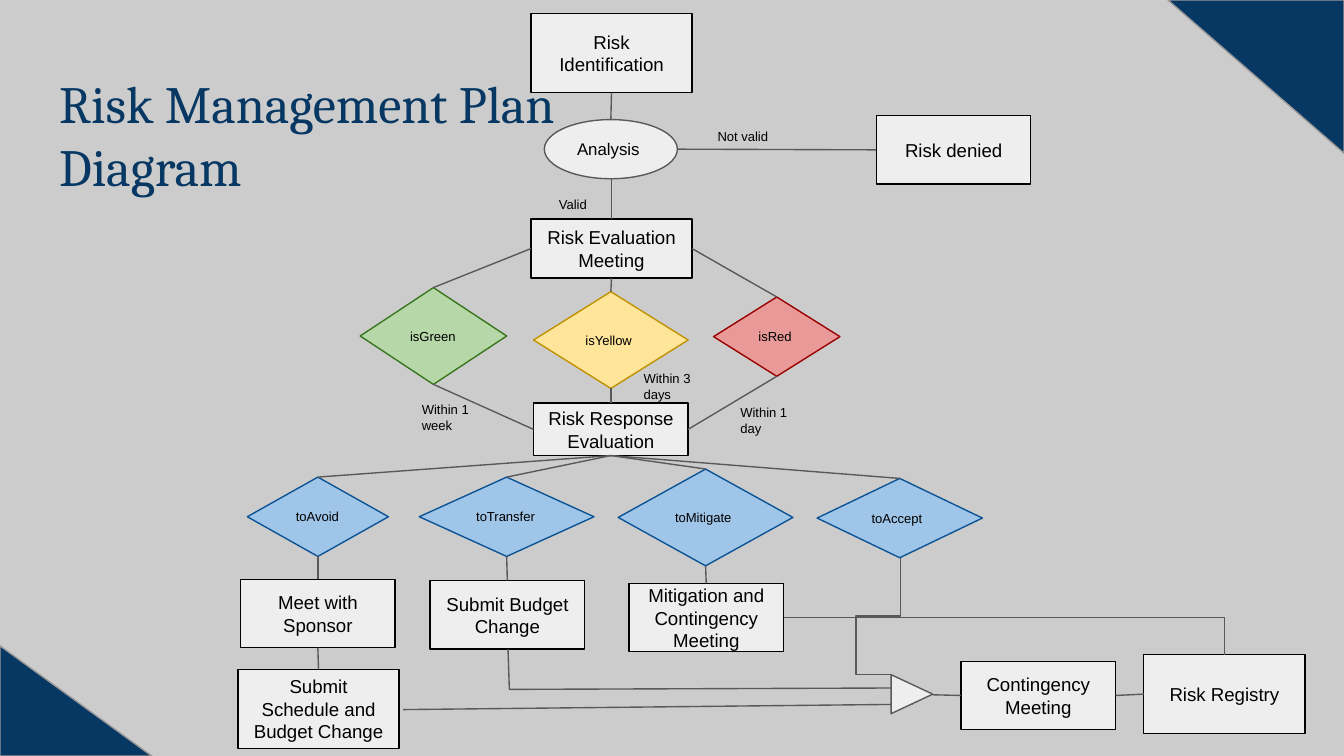
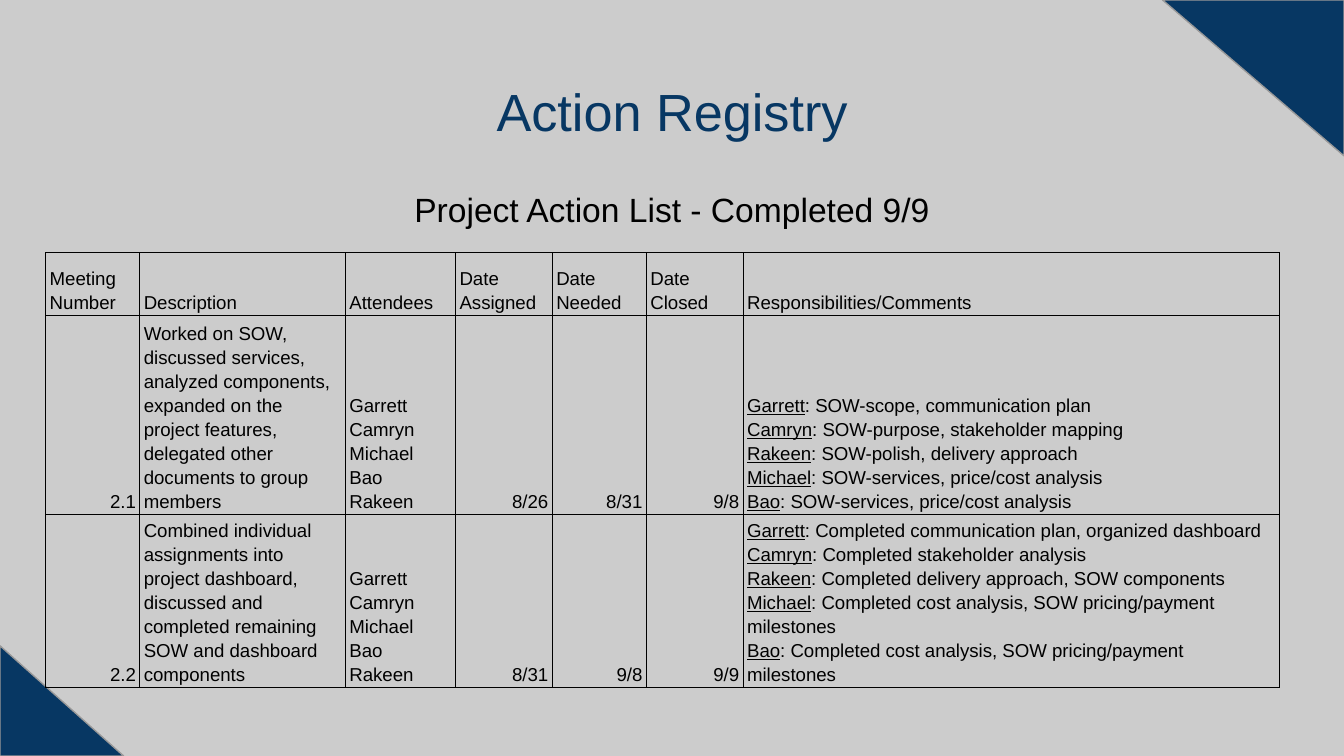
from lxml import etree
from pptx import Presentation
from pptx import util as u
from pptx.dml.color import RGBColor
from pptx.enum import shapes, text
from pptx.oxml import ns

PX = 9144
WIDTH = 1000
HEIGHT = WIDTH * 9 / 16

NAVY = RGBColor(0x07, 0x37, 0x63)
BACKDROP = RGBColor(0xCC, 0xCC, 0xCC)
CORNER_EDGE = RGBColor(0x99, 0x99, 0x99)
BLACK = RGBColor(0x00, 0x00, 0x00)
PALE = RGBColor(0xEE, 0xEE, 0xEE)
GREY = RGBColor(0x59, 0x59, 0x59)
GREEN, GREEN_EDGE = RGBColor(0xB6, 0xD7, 0xA8), RGBColor(0x38, 0x76, 0x1D)
YELLOW, YELLOW_EDGE = RGBColor(0xFF, 0xE5, 0x99), RGBColor(0xBF, 0x90, 0x00)
RED, RED_EDGE = RGBColor(0xEA, 0x99, 0x99), RGBColor(0x99, 0x00, 0x00)
BLUE, BLUE_EDGE = RGBColor(0x9F, 0xC5, 0xE8), RGBColor(0x0B, 0x53, 0x94)

SHAPE = shapes.MSO_SHAPE
ALIGN = text.PP_ALIGN
ANCHOR = text.MSO_ANCHOR
TOP, LEFT, BOTTOM, RIGHT = range(4)

STEPS = {
    "Risk Identification": (395, 10, 120, 59),
    "Risk denied": (652, 86, 115, 51),
    "Risk Evaluation Meeting": (395, 163, 120, 44),
    "Risk Response Evaluation": (397, 300, 115, 39),
    "Meet with Sponsor": (179, 431, 115, 51),
    "Submit Budget Change": (320, 432, 115, 51),
    "Mitigation and Contingency Meeting": (468, 434, 115, 51),
    "Submit Schedule and Budget Change": (177, 498, 120, 59),
    "Contingency Meeting": (715, 492, 115, 51),
    "Risk Registry": (851, 487, 120, 59),
}
DECISIONS = {
    "isGreen": (268, 214, 109, 72, GREEN, GREEN_EDGE),
    "isYellow": (397, 217, 115, 72, YELLOW, YELLOW_EDGE),
    "isRed": (531, 221, 94, 59, RED, RED_EDGE),
    "toAvoid": (184, 355, 105, 59, BLUE, BLUE_EDGE),
    "toTransfer": (312, 355, 130, 59, BLUE, BLUE_EDGE),
    "toMitigate": (460, 349, 130, 72, BLUE, BLUE_EDGE),
    "toAccept": (608, 356, 123, 59, BLUE, BLUE_EDGE),
}
LABELS = {
    "Valid": (406, 140, 58, 24),
    "Not valid": (524, 90, 109, 33),
    "Within 1 day": (541, 291, 58, 39),
    "Within 3 days": (469, 266, 58, 36),
    "Within 1 week": (304, 289, 58, 44),
}
LINKS = [
    ("Risk Identification", BOTTOM, "Analysis", TOP),
    ("Risk Evaluation Meeting", LEFT, "isGreen", TOP),
    ("Risk Evaluation Meeting", BOTTOM, "isYellow", TOP),
    ("Risk Evaluation Meeting", RIGHT, "isRed", TOP),
    ("isGreen", BOTTOM, "Risk Response Evaluation", LEFT),
    ("isYellow", BOTTOM, "Risk Response Evaluation", TOP),
    ("isRed", BOTTOM, "Risk Response Evaluation", RIGHT),
    ("Risk Response Evaluation", BOTTOM, "toAvoid", TOP),
    ("Risk Response Evaluation", BOTTOM, "toTransfer", TOP),
    ("Risk Response Evaluation", BOTTOM, "toMitigate", TOP),
    ("Risk Response Evaluation", BOTTOM, "toAccept", TOP),
    ("toAvoid", BOTTOM, "Meet with Sponsor", TOP),
    ("toTransfer", BOTTOM, "Submit Budget Change", TOP),
    ("toMitigate", BOTTOM, "Mitigation and Contingency Meeting", TOP),
    ("Meet with Sponsor", BOTTOM, "Submit Schedule and Budget Change", TOP),
    ("Contingency Meeting", RIGHT, "Risk Registry", LEFT),
]

COLUMNS = [70, 153, 82, 72, 70, 72, 399]
ROWS = [47, 148, 123]
TEAM = "Garrett\nCamryn\nMichael\nBao\nRakeen"
ACTIONS = [
    ["Meeting\nNumber", "Description", "Attendees", "Date Assigned",
     "Date Needed", "Date Closed", "Responsibilities/Comments"],
    ["2.1",
     "Worked on SOW, discussed services, analyzed components, expanded on the "
     "project features, delegated other documents to group members",
     TEAM, "8/26", "8/31", "9/8",
     "Garrett: SOW-scope, communication plan\n"
     "Camryn: SOW-purpose, stakeholder mapping\n"
     "Rakeen: SOW-polish, delivery approach\n"
     "Michael: SOW-services, price/cost analysis\n"
     "Bao: SOW-services, price/cost analysis"],
    ["2.2",
     "Combined individual assignments into project dashboard, discussed and "
     "completed remaining SOW and dashboard components",
     TEAM, "8/31", "9/8", "9/9",
     "Garrett: Completed communication plan, organized dashboard\n"
     "Camryn: Completed stakeholder analysis\n"
     "Rakeen: Completed delivery approach, SOW components\n"
     "Michael: Completed cost analysis, SOW pricing/payment milestones\n"
     "Bao: Completed cost analysis, SOW pricing/payment milestones"],
]
NUMBER_COLUMNS = (0, 3, 4, 5)


def px(*lengths):
    return [u.Emu(length * PX) for length in lengths]


def pad(holder, across, down, anchor):
    holder.margin_left, holder.margin_right = px(across, across)
    holder.margin_top, holder.margin_bottom = px(down, down)
    holder.vertical_anchor = anchor


def write(frame, content, *, size, font="Arial", color=BLACK, align=ALIGN.LEFT,
          spacing=1.0, after=0, underline_names=False):
    frame.word_wrap = True
    for index, line in enumerate(content.split("\n")):
        para = frame.add_paragraph() if index else frame.paragraphs[0]
        para.alignment = align
        para.line_spacing = spacing
        para.space_before = u.Pt(0)
        para.space_after = u.Pt(after)
        name, colon, rest = line.partition(":") if underline_names else ("", "", line)
        for part, underline in ((name, True), (colon + rest, False)):
            if part:
                span = para.add_run()
                span.text = part
                span.font.name = font
                span.font.size = u.Pt(size)
                span.font.color.rgb = color
                span.font.underline = underline


def fill_placeholder(box, frame, content, **style):
    box.left, box.top, box.width, box.height = px(*frame)
    box.text_frame.auto_size = text.MSO_AUTO_SIZE.NONE
    pad(box.text_frame, 10, 10, ANCHOR.TOP)
    write(box.text_frame, content, **style)


def add_title(page, frame, content, **style):
    fill_placeholder(page.shapes.title, frame, content, size=28, color=NAVY, **style)


def add_body(page, frame, content, **style):
    box = page.placeholders[1]
    fill_placeholder(box, frame, content, **style)
    for para in box.text_frame.paragraphs:
        properties = para._p.get_or_add_pPr()
        properties.set("marL", "0")
        properties.set("indent", "0")
        etree.SubElement(properties, ns.qn("a:buNone"))


def add_node(page, kind, frame, fill, edge, content="", **style):
    box = page.shapes.add_shape(kind, *px(*frame))
    box.shadow.inherit = False
    box.fill.solid()
    box.fill.fore_color.rgb = fill
    box.line.color.rgb = edge
    box.line.width = u.Pt(0.75)
    if content:
        pad(box.text_frame, 10, 10, ANCHOR.MIDDLE)
        write(box.text_frame, content, **style)
    return box


def add_label(page, frame, content):
    box = page.shapes.add_textbox(*px(*frame))
    pad(box.text_frame, 10, 10, ANCHOR.TOP)
    write(box.text_frame, content, size=7)


def add_corners(page, lower, upper):
    for width, height, at_top in ((*lower, False), (*upper, True)):
        left, top = (WIDTH - width, 0) if at_top else (0, HEIGHT - height)
        box = add_node(page, SHAPE.RIGHT_TRIANGLE, (left, top, width, height),
                       NAVY, CORNER_EDGE)
        box.rotation = 180 if at_top else 0


def add_link(page, start=(0, 0), end=(0, 0), start_at=None, end_at=None,
             kind=shapes.MSO_CONNECTOR.STRAIGHT):
    link = page.shapes.add_connector(kind, *px(*start, *end))
    if start_at:
        link.begin_connect(*start_at)
    if end_at:
        link.end_connect(*end_at)
    link.line.color.rgb = GREY
    link.line.width = u.Pt(0.75)
    etree.SubElement(link.element.spPr, ns.qn("a:effectLst"))
    return link


def add_elbow(page, preset, turn=0, bends=(), **ends):
    link = add_link(page, kind=shapes.MSO_CONNECTOR.ELBOW, **ends)
    link.element.spPr.find(ns.qn("a:xfrm")).set("rot", str(turn * 60000))
    geometry = link.element.spPr.find(ns.qn("a:prstGeom"))
    geometry.set("prst", preset)
    guides = geometry.find(ns.qn("a:avLst"))
    for number, bend in enumerate(bends, 1):
        etree.SubElement(guides, ns.qn("a:gd"), name=f"adj{number}", fmla=f"val {bend}")


def add_path(page, start, *points):
    builder = page.shapes.build_freeform(*start, scale=PX)
    builder.add_line_segments(points, close=False)
    path_line = builder.convert_to_shape()
    path_line.shadow.inherit = False
    path_line.fill.background()
    path_line.line.color.rgb = GREY
    path_line.line.width = u.Pt(0.75)


def add_borders(cell):
    properties = cell._tc.get_or_add_tcPr()
    for side in ("lnL", "lnR", "lnT", "lnB"):
        line = etree.SubElement(properties, ns.qn(f"a:{side}"), w=str(int(u.Pt(0.75))))
        paint = etree.SubElement(line, ns.qn("a:solidFill"))
        etree.SubElement(paint, ns.qn("a:srgbClr"), val=str(BLACK))


def add_action_table(page, left, top):
    table = page.shapes.add_table(len(ROWS), len(COLUMNS),
                                  *px(left, top, sum(COLUMNS), sum(ROWS))).table
    table.first_row = table.horz_banding = False
    for column, width in zip(table.columns, px(*COLUMNS)):
        column.width = width
    for row, height in zip(table.rows, px(*ROWS)):
        row.height = height
    for i, entries in enumerate(ACTIONS):
        for j, entry in enumerate(entries):
            cell = table.cell(i, j)
            add_borders(cell)
            cell.fill.background()
            pad(cell, 3, 2, ANCHOR.BOTTOM)
            is_number = i > 0 and j in NUMBER_COLUMNS
            write(cell.text_frame, entry, size=10, spacing=1.15,
                  align=ALIGN.RIGHT if is_number else ALIGN.LEFT,
                  underline_names=i > 0 and j == len(COLUMNS) - 1)


def build_diagram(deck):
    page = deck.slides.add_slide(deck.slide_layouts[5])
    add_title(page, (34, 43, 401, 63), "Risk Management Plan Diagram", font="Cambria")
    add_corners(page, lower=(113, 82), upper=(131, 114))

    nodes = {"Analysis": add_node(page, SHAPE.OVAL, (405, 89, 99, 44), PALE, GREY,
                                  "Analysis", size=9)}
    for name, frame in STEPS.items():
        nodes[name] = add_node(page, SHAPE.RECTANGLE, frame, PALE, BLACK, name,
                               size=10, align=ALIGN.CENTER)
    for name, (*frame, fill, edge) in DECISIONS.items():
        nodes[name] = add_node(page, SHAPE.FLOWCHART_DECISION, frame, fill, edge,
                               name, size=7)
    for name, frame in LABELS.items():
        add_label(page, frame, name)

    for source, source_side, target, target_side in LINKS:
        add_link(page, start_at=(nodes[source], source_side),
                 end_at=(nodes[target], target_side))
    add_link(page, start=(455, 133), end_at=(nodes["Risk Evaluation Meeting"], TOP))
    add_link(page, start=(504, 111), end_at=(nodes["Risk denied"], LEFT))
    add_link(page, start=(694, 517), end_at=(nodes["Contingency Meeting"], LEFT))
    add_link(page, start=(679, 524), end=(300, 528))
    add_path(page, (378, 483), (379, 513), (663, 512))
    add_elbow(page, "bentConnector4", turn=90, bends=(50000, 470900),
              start=(623, 455), end=(710, 462))
    add_elbow(page, "bentConnector2",
              start_at=(nodes["Mitigation and Contingency Meeting"], RIGHT),
              end_at=(nodes["Risk Registry"], TOP))
    merge = add_node(page, SHAPE.ISOSCELES_TRIANGLE, (664, 501, 29, 31), PALE, GREY)
    merge.rotation = 90


def build_registry(deck):
    page = deck.slides.add_slide(deck.slide_layouts[1])
    add_corners(page, lower=(92, 82), upper=(135, 116))
    add_title(page, (34, 49, 932, 63), "Action Registry", align=ALIGN.CENTER)
    add_body(page, (34, 126, 932, 423), "Project Action List - Completed 9/9",
             size=18, align=ALIGN.CENTER, spacing=1.15, after=16)
    add_action_table(page, 34, 188)


def main():
    deck = Presentation()
    deck.slide_width, deck.slide_height = px(WIDTH, HEIGHT)
    backdrop = deck.slide_master.background.fill
    backdrop.solid()
    backdrop.fore_color.rgb = BACKDROP
    build_diagram(deck)
    build_registry(deck)
    deck.save("out.pptx")


if __name__ == "__main__":
    main()
